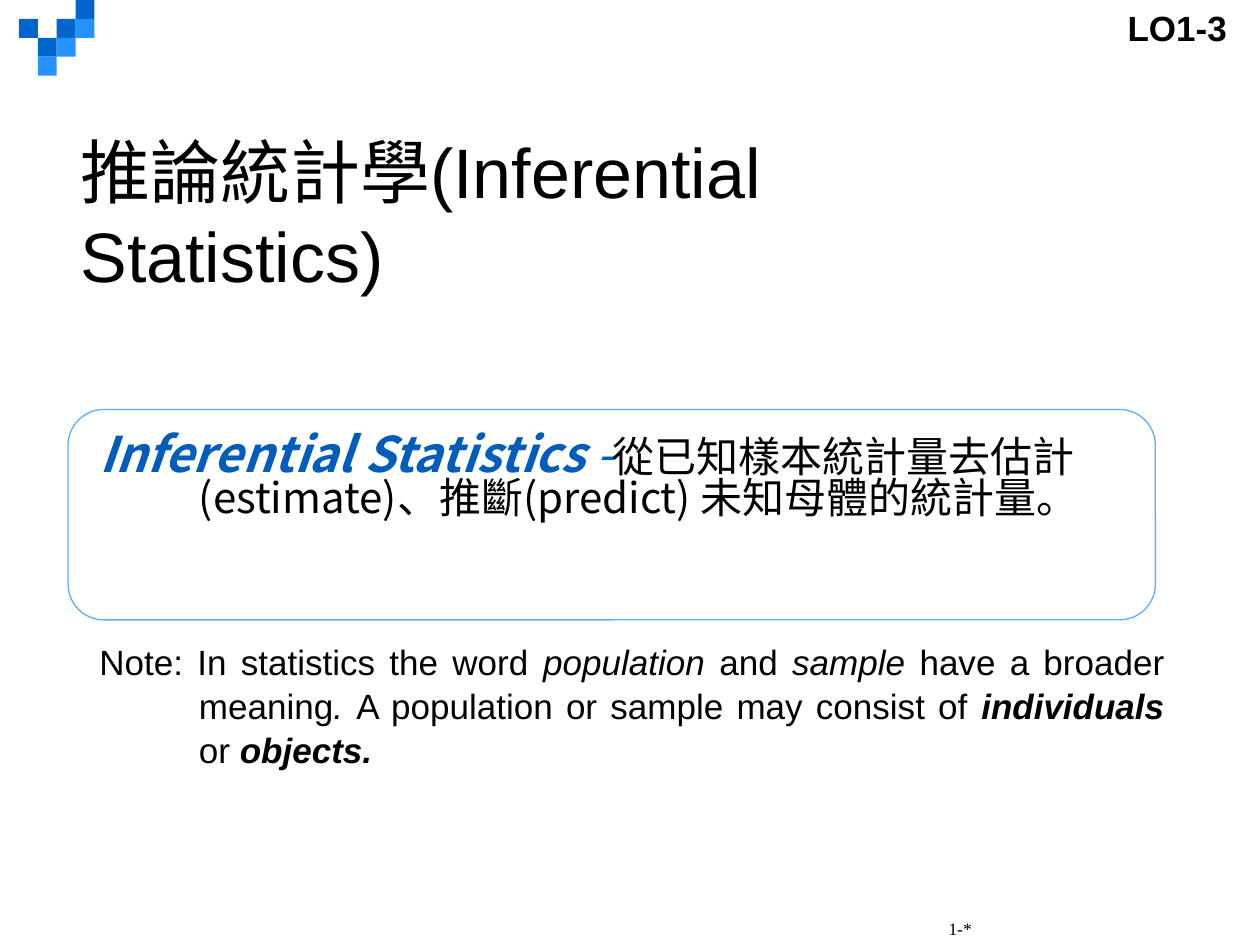
from pptx import Presentation
from pptx.dml.color import RGBColor as RGB
from pptx.enum.shapes import MSO_SHAPE as Kind
from pptx.enum.text import MSO_ANCHOR as Anchor, PP_ALIGN as Align
from pptx.util import Inches, Pt

HEX = {"black": "000000", "white": "FFFFFF", "blue": "0066CC",
       "light": "2592FF", "edge": "5BADFF", "term": "005DBA"}
NOTO = "Noto Sans CJK SC"
CHECKS = [(2, 1, "blue"), (3, 0, "blue"), (3, 1, "light"), (1, 2, "blue"),
          (0, 1, "blue"), (2, 2, "light"), (1, 3, "light")]
STEP = 0.15

TERM = [
    ("Inferential Statistics",
     dict(name=NOTO, size=28, color="term", bold=True, italic=True)),
    (" -", dict(name=NOTO, size=28, color="term", italic=True)),
    ("從已知樣本統計量去估計(estimate)、推斷(predict) 未知母體的統計量。",
     dict(name=NOTO, size=24)),
]
SLANT = dict(italic=True)
STRONG = dict(bold=True, italic=True)
NOTE = [
    ("Note: In statistics the word ", {}), ("population ", SLANT),
    ("and", {}), (" sample ", SLANT), ("have a broader meaning", {}),
    (". ", SLANT), ("A population or sample may consist of ", {}),
    ("individuals", STRONG), (" or ", {}), ("objects.", STRONG),
]


def rgb(name):
    return RGB.from_string(HEX[name])


def inches(*vals):
    return [Inches(v) for v in vals]


def style(font, name="Arial", size=20, color="black", bold=False, italic=False):
    vals = dict(name=name, size=Pt(size), bold=bold, italic=italic)
    for key, val in vals.items():
        setattr(font, key, val)
    font.color.rgb = rgb(color)


def add_runs(para, runs):
    for text, look in runs:
        run = para.add_run()
        run.text = text
        style(run.font, **look)


def add_box(slide, kind, place, fill, edge=None):
    box = slide.shapes.add_shape(kind, *inches(*place))
    box.shadow.inherit = False
    box.fill.solid()
    box.fill.fore_color.rgb = rgb(fill)
    if edge:
        box.line.color.rgb = rgb(edge)
        box.line.width = Pt(0.75)
    else:
        box.line.fill.background()
    return box


def add_text(slide, place, runs, anchor=Anchor.TOP, align=Align.LEFT,
             space=None, hang=0):
    """Text box with one paragraph; hang is the hanging indent in inches."""
    frame = slide.shapes.add_textbox(*inches(*place)).text_frame
    frame.word_wrap = True
    frame.vertical_anchor = anchor
    para = frame.paragraphs[0]
    para.alignment = align
    para.line_spacing = space
    if hang:
        props = para._p.get_or_add_pPr()
        props.set("marL", str(Inches(hang)))
        props.set("indent", str(Inches(-hang)))
    add_runs(para, runs)


def set_title(slide, text):
    title = slide.shapes.title
    title.left, title.top, title.width, title.height = inches(0.54, 0.93, 8.02, 1.52)
    frame = title.text_frame
    frame.vertical_anchor = Anchor.MIDDLE
    frame.paragraphs[0].alignment = Align.LEFT
    add_runs(frame.paragraphs[0], [(text, dict(size=40))])


def add_tag(slide, text):
    tag = add_box(slide, Kind.RECTANGLE, (8.85, 0, 1.15, 0.44), "white")
    tag.text_frame.vertical_anchor = Anchor.TOP
    para = tag.text_frame.paragraphs[0]
    para.alignment = Align.LEFT
    add_runs(para, [(text, dict(bold=True))])


def main():
    deck = Presentation()
    deck.slide_width, deck.slide_height = inches(10, 7.5)
    slide = deck.slides.add_slide(deck.slide_layouts[5])

    for col, row, fill in CHECKS:
        place = (0.15 + col * STEP, row * STEP, STEP, STEP)
        add_box(slide, Kind.RECTANGLE, place, fill)
    set_title(slide, "推論統計學(Inferential Statistics)")
    panel = add_box(slide, Kind.ROUNDED_RECTANGLE, (0.54, 3.25, 8.63, 1.67),
                    "white", "edge")
    panel.adjustments[0] = 0.17
    add_text(slide, (0.69, 3.4, 8.65, 1.2), TERM, space=0.8, hang=0.79)
    add_text(slide, (0.69, 5.02, 8.65, 1.2), NOTE, align=Align.JUSTIFY,
             space=1.05, hang=0.79)
    add_text(slide, (7.43, 7.12, 2.4, 0.38),
             [("1-*", dict(name="Times New Roman", size=10))], Anchor.BOTTOM)
    add_tag(slide, "LO1-3")
    deck.save("out.pptx")


if __name__ == "__main__":
    main()
